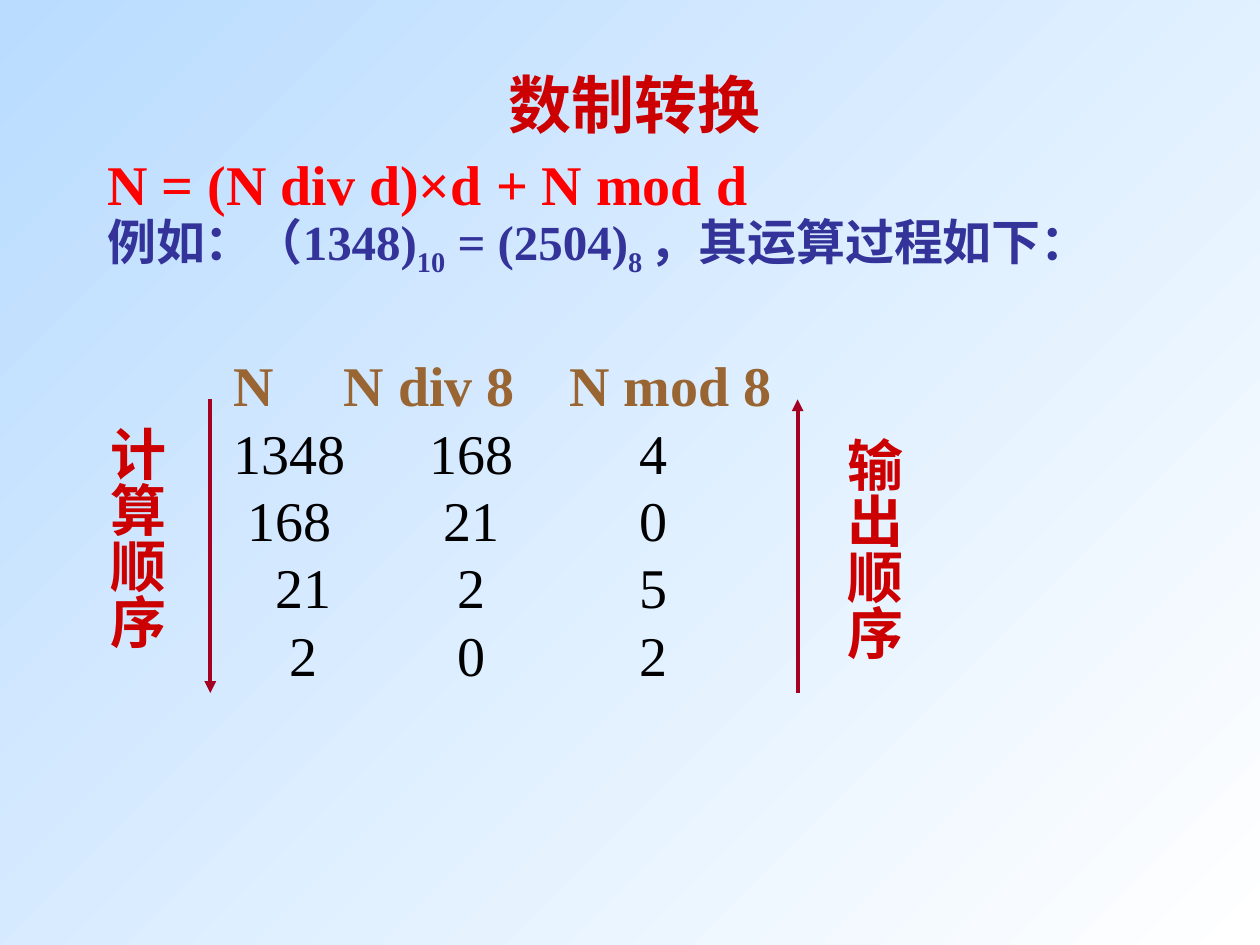
"""Build a slide that shows number base conversion by repeated division."""
import pptx
import pptx.dml.color
import pptx.enum.shapes
import pptx.enum.text
import pptx.oxml
import pptx.oxml.ns
import pptx.util
from pptx.util import Cm, Pt

COLOURS = {
    "sky": "B9DCFF", "white": "FFFFFF", "title": "CC0000", "formula": "FF0000",
    "example": "333399", "header": "996633", "number": "000000", "arrow": "A50021",
}
SERIF = "Times New Roman"
TITLE = "数制转换"
FORMULA = [("N = (N div d)×d + N mod d", 0)]
EXAMPLE = [("例如：（1348)", 0), ("10", -25), (" = (2504)", 0), ("8 ", -25), ("，其运算过程如下：", 0)]
HEADER = [("N", 0), ("N div 8", 7.9), ("N mod 8", 24)]
STEPS = [
    [("1348", 0), ("168", 14), ("4", 29)],
    [("168", 1), ("21", 15), ("0", 29)],
    [("21", 3), ("2", 16), ("5", 29)],
    [("2", 4), ("0", 16), ("2", 29)],
]
ORDERS = [("计算顺序", 1.7, 8.46), ("输出顺序", 16.56, 8.69)]
ARROW_TOP, ARROW_BOTTOM = 8.05, 13.97
ARROWS = [(4.24, ARROW_TOP, ARROW_BOTTOM), (16.08, ARROW_BOTTOM, ARROW_TOP)]
COLUMN_STEP = Pt(8)


def rgb(name):
    return pptx.dml.color.RGBColor.from_string(COLOURS[name])


def apply(target, values):
    for name, value in values.items():
        setattr(target, name, value)


def add_span(para, text, colour, size, bold=True, font=SERIF, baseline=0):
    span = para.add_run()
    span.text = text
    apply(span.font, {"name": font, "size": Pt(size), "bold": bold})
    span.font.color.rgb = rgb(colour)
    if baseline:
        span.font._element.set("baseline", str(baseline * 1000))


def set_frame(shape, place, sides=0, ends=0, wrap=True):
    apply(shape, dict(zip(("left", "top", "width", "height"), map(Cm, place))))
    frame = shape.text_frame
    apply(frame, {
        "margin_left": Cm(sides), "margin_right": Cm(sides),
        "margin_top": Cm(ends), "margin_bottom": Cm(ends), "word_wrap": wrap,
        "auto_size": pptx.enum.text.MSO_AUTO_SIZE.NONE,
        "vertical_anchor": pptx.enum.text.MSO_ANCHOR.TOP,
    })
    return frame


def add_frame(page, place, **options):
    return set_frame(page.shapes.add_textbox(0, 0, 0, 0), place, **options)


def next_para(frame, index, pitch):
    para = frame.add_paragraph() if index else frame.paragraphs[0]
    para.line_spacing = Pt(pitch)
    return para


def add_tabs(para, stops):
    tabs = pptx.oxml.parse_xml(f"<a:tabLst {pptx.oxml.ns.nsdecls('a')}/>")
    for stop in stops:
        tab = tabs.makeelement(pptx.oxml.ns.qn("a:tab"), {"pos": str(int(stop)), "algn": "l"})
        tabs.append(tab)
    para._p.get_or_add_pPr().append(tabs)


def add_title(page):
    frame = set_frame(page.shapes.title, (0.79, 1.19, 24, 1.78), sides=0.25, ends=0.13)
    para = frame.paragraphs[0]
    para.alignment = pptx.enum.text.PP_ALIGN.CENTER
    add_span(para, TITLE, "title", 36, font="Noto Sans CJK SC")


def add_statement(page):
    frame = add_frame(page, (2.16, 3.02, 21.5, 2.7))
    lines = [(FORMULA, "formula", 32, 38.5), (EXAMPLE, "example", 28, 35)]
    for index, (parts, colour, size, pitch) in enumerate(lines):
        para = next_para(frame, index, pitch)
        for text, baseline in parts:
            add_span(para, text, colour, size, baseline=baseline)


def add_steps(page):
    frame = add_frame(page, (4.7, 7.07, 11.2, 6.9))
    for index, row in enumerate([HEADER] + STEPS):
        para = next_para(frame, index, 38.5)
        add_tabs(para, [COLUMN_STEP * column for _, column in row if column])
        text = "\t".join(value for value, _ in row)
        if row[0][1]:
            text = "\t" + text
        add_span(para, text, "number" if index else "header", 32, bold=not index)


def add_orders(page):
    for text, left, top in ORDERS:
        frame = add_frame(page, (left, top, 1.85, 4.78), sides=0.13, ends=0.13, wrap=False)
        frame._txBody.bodyPr.set("vert", "eaVert")
        add_span(frame.paragraphs[0], text, "title", 32)


def add_arrows(page):
    straight = pptx.enum.shapes.MSO_CONNECTOR.STRAIGHT
    for x, start, end in ARROWS:
        arrow = page.shapes.add_connector(straight, Cm(x), Cm(start), Cm(x), Cm(end))
        arrow.line.width = Pt(2.25)
        arrow.line.color.rgb = rgb("arrow")
        namespace = pptx.oxml.ns.nsdecls("a")
        arrow.line._get_or_add_ln().append(
            pptx.oxml.parse_xml(f'<a:tailEnd {namespace} type="triangle"/>'))
        arrow._element.spPr.append(pptx.oxml.parse_xml(f"<a:effectLst {namespace}/>"))


def main():
    deck = pptx.Presentation()
    apply(deck, {"slide_width": Cm(25.4), "slide_height": Cm(19.05)})
    page = deck.slides.add_slide(deck.slide_layouts.get_by_name("Title Only"))
    fill = page.background.fill
    fill.gradient()
    fill.gradient_angle = 315
    for stop, name in zip(fill.gradient_stops, ("sky", "white")):
        stop.color.rgb = rgb(name)
    for add_part in (add_title, add_statement, add_steps, add_arrows, add_orders):
        add_part(page)
    deck.save("out.pptx")


if __name__ == "__main__":
    main()
